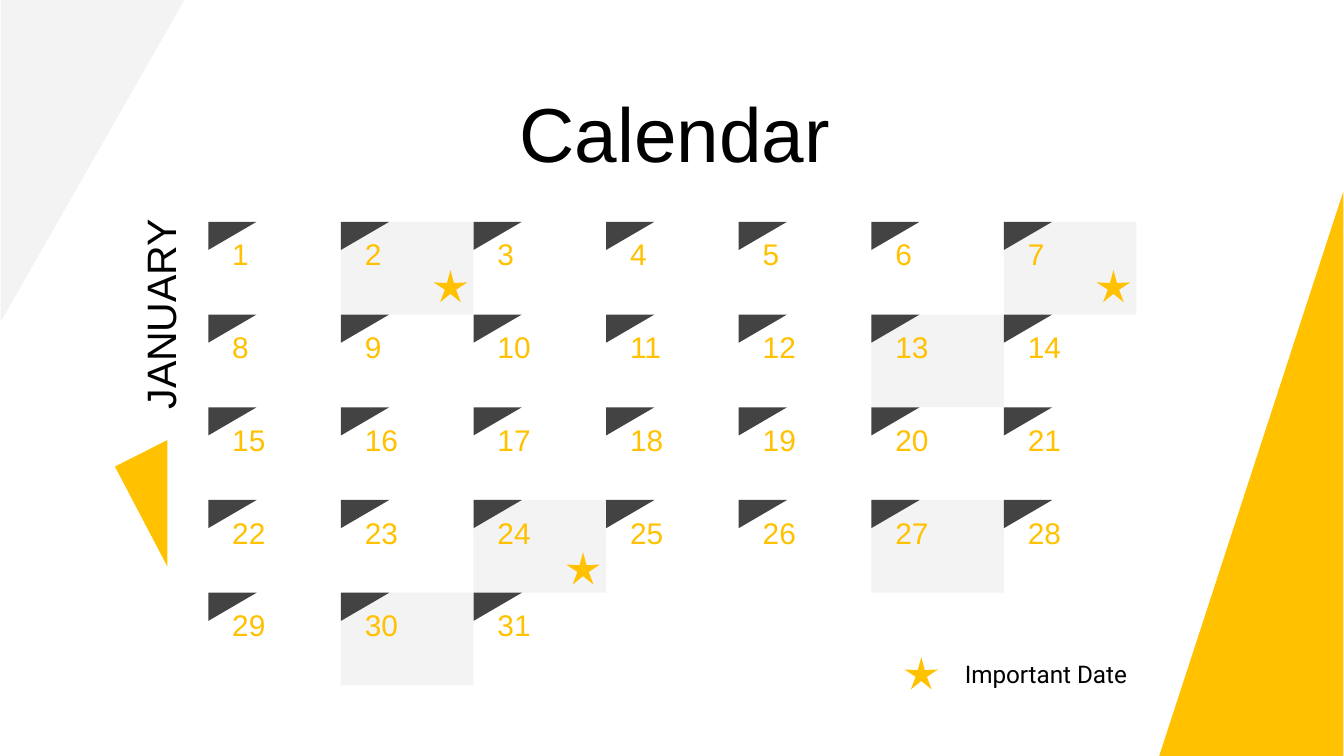
from pptx import Presentation
from pptx.dml.color import RGBColor
from pptx.enum.shapes import MSO_SHAPE
from pptx.enum.text import MSO_ANCHOR, PP_ALIGN
from pptx.util import Inches, Pt

RECTANGLE = MSO_SHAPE.RECTANGLE
RIGHT_TRIANGLE = MSO_SHAPE.RIGHT_TRIANGLE
TRIANGLE = MSO_SHAPE.ISOSCELES_TRIANGLE
STAR = MSO_SHAPE.STAR_5_POINT
TOP, MIDDLE = MSO_ANCHOR.TOP, MSO_ANCHOR.MIDDLE
LEFT, CENTER, RIGHT = PP_ALIGN.LEFT, PP_ALIGN.CENTER, PP_ALIGN.RIGHT

COLORS = {"black": "000000", "yellow": "FFC100", "pale": "F3F3F3", "dark": "434343"}

# Calendar grid
GRID_LEFT, GRID_TOP = 1.55, 1.65
CELL_WIDTH, CELL_HEIGHT = (7.47 - GRID_LEFT) / 6, 0.69
DAYS_PER_ROW, LAST_DAY = 7, 31
SHADED_DAYS = [2, 7, 13, 24, 27, 30]
STAR_DROPS = {2: 0.36, 7: 0.36, 24: 0.39}  # important day: star offset from cell top


def color(name):
    return RGBColor.from_string(COLORS[name])


def day_position(day):
    row, column = divmod(day - 1, DAYS_PER_ROW)
    return GRID_LEFT + column * CELL_WIDTH, GRID_TOP + row * CELL_HEIGHT


def add_filled(slide, kind, left, top, width, height, fill, rotation=0):
    shape = slide.shapes.add_shape(
        kind, Inches(left), Inches(top), Inches(width), Inches(height))
    shape.shadow.inherit = False
    shape.fill.solid()
    shape.fill.fore_color.rgb = color(fill)
    shape.line.fill.background()
    shape.rotation = rotation
    return shape


def add_star(slide, left, top):
    star = add_filled(slide, STAR, left, top, 0.25, 0.24, "yellow")
    star.adjustments[0] = 0.168


def add_day_corner(slide, left, top):
    corner = add_filled(slide, RIGHT_TRIANGLE, left, top, 0.36, 0.21, "dark", 180)
    corner.element.spPr.xfrm.set("flipH", "1")


def write_text(box, text, size, fill, align=LEFT, anchor=MIDDLE, font="Arial", spacing=1.0):
    frame = box.text_frame
    frame.word_wrap = True
    frame.vertical_anchor = anchor
    frame.margin_left = frame.margin_right = Inches(0.1)
    frame.margin_top = frame.margin_bottom = Inches(0.1)
    frame.text = text
    paragraph = frame.paragraphs[0]
    paragraph.alignment = align
    paragraph.line_spacing = spacing
    paragraph.font.name = font
    paragraph.font.size = Pt(size)
    paragraph.font.color.rgb = color(fill)


def add_label(slide, left, top, width, height, text, size, fill, **style):
    label = slide.shapes.add_textbox(
        Inches(left), Inches(top), Inches(width), Inches(height))
    write_text(label, text, size, fill, **style)
    return label


def add_title(slide, text):
    title = slide.shapes.title
    title.left, title.top = Inches(0.59), Inches(0.54)
    title.width, title.height = Inches(8.86), Inches(0.63)
    write_text(title, text, 41, "black", align=CENTER, anchor=TOP)


def add_month(slide, text):
    marker = add_filled(slide, TRIANGLE, 0.58, 3.55, 0.94, 0.39, "yellow", 270)
    marker.adjustments[0] = 0.791
    month = add_label(slide, 0.1, 2.28, 2.04, 0.54, text, 22, "black",
                      align=RIGHT, anchor=TOP, spacing=1.15)
    month.rotation = 270


def add_days(slide):
    for day in SHADED_DAYS:
        add_filled(slide, RECTANGLE, *day_position(day), CELL_WIDTH, CELL_HEIGHT, "pale")
    for day in range(1, LAST_DAY + 1):
        left, top = day_position(day)
        add_label(slide, left + 0.08, top, 0.47, 0.44, str(day), 16, "yellow", spacing=1.15)
        add_day_corner(slide, left, top)
    for day, drop in STAR_DROPS.items():
        left, top = day_position(day)
        add_star(slide, left + 0.69, top + drop)


def main():
    prs = Presentation()
    prs.slide_width = Inches(10)
    prs.slide_height = prs.slide_width * 9 // 16
    slide = prs.slides.add_slide(prs.slide_layouts[5])

    # Background corners
    add_filled(slide, RIGHT_TRIANGLE, -0.51, 0.51, 2.4, 1.37, "pale", 90)
    add_filled(slide, RIGHT_TRIANGLE, 7.21, 2.84, 4.2, 1.37, "yellow", 270)

    # Title, month and days
    add_title(slide, "Calendar")
    add_month(slide, "JANUARY")
    add_days(slide)

    # Legend
    add_star(slide, 6.73, 4.89)
    add_label(slide, 7.08, 4.86, 1.85, 0.31, "Important Date", 13, "black", font="Roboto")

    prs.save("out.pptx")


if __name__ == "__main__":
    main()
